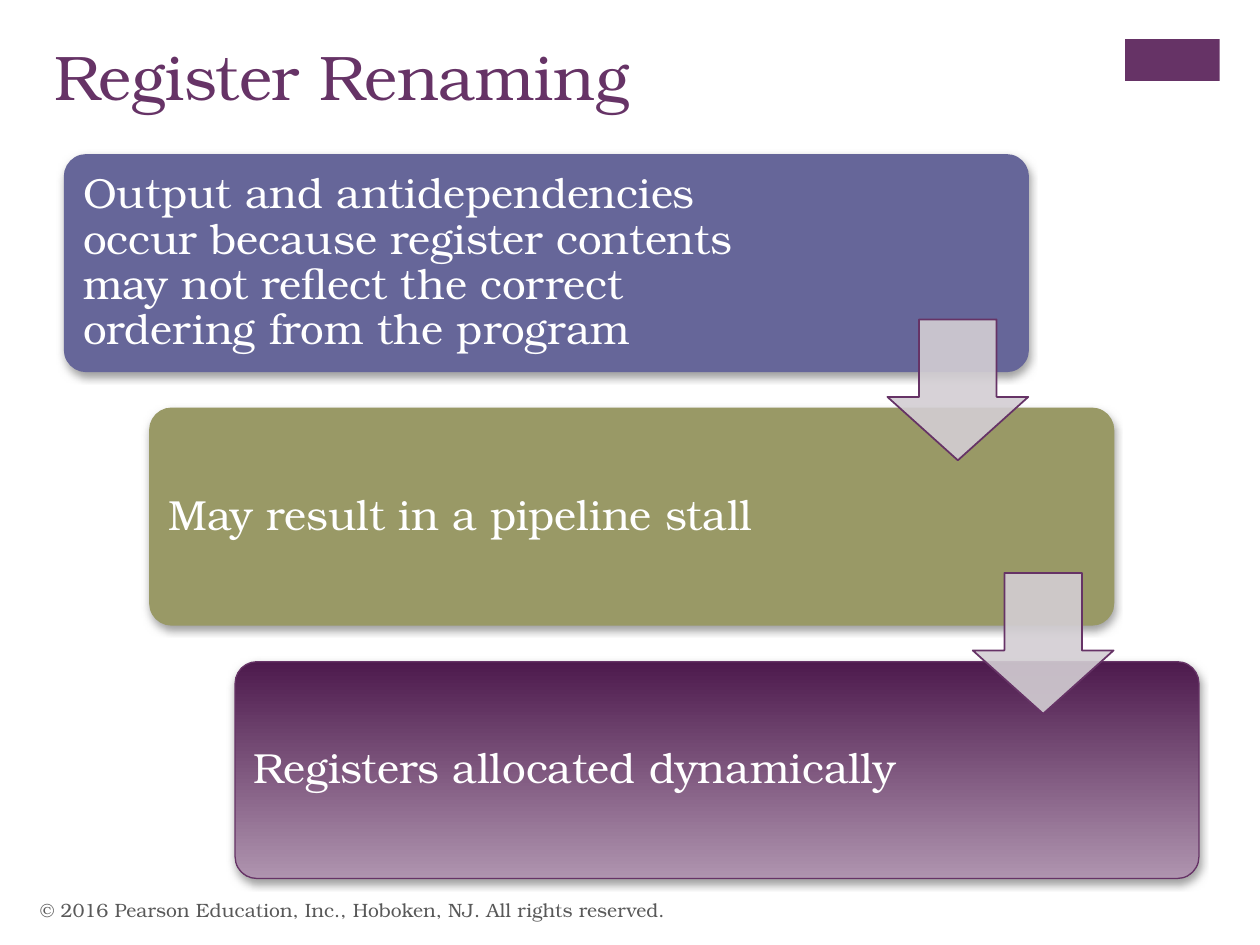
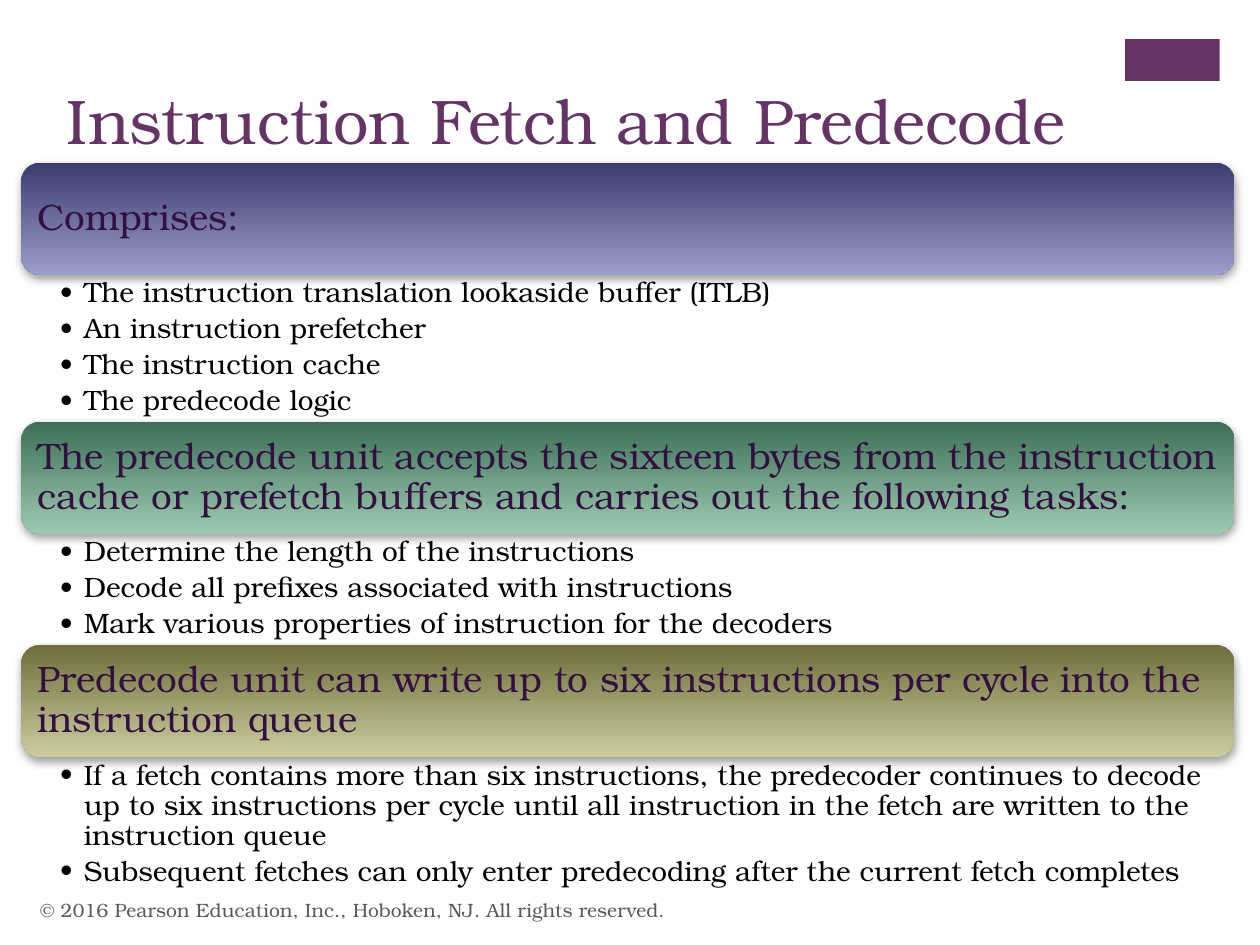
from dataclasses import dataclass

from lxml import etree
from pptx import Presentation
from pptx import util as u
from pptx.dml.color import RGBColor
from pptx.enum import shapes, text
from pptx.oxml.ns import qn

FONT = "TeX Gyre Bonum"
COLOURS = {
    "plum": "663366",
    "slate": "666699",
    "olive": "999966",
    "arrow": "D3CED3",
    "white": "FFFFFF",
    "black": "000000",
    "heading": "330F42",
    "footer": "595959",
    "shadow": "808080",
    "plum dark": "4D1A4D",
    "plum light": "AF94AF",
    "blue dark": "3C3C6F",
    "blue light": "9D9DCB",
    "green dark": "3C6F56",
    "green light": "9DCBB2",
    "moss dark": "6F6F3C",
    "moss light": "CBCB9D",
}
FOOTER = "© 2016 Pearson Education, Inc., Hoboken, NJ. All rights reserved."


@dataclass(frozen=True)
class Box:
    """A place on the slide, in centimetres."""
    left: float
    top: float
    width: float
    height: float

    def lengths(self) -> list:
        return [u.Cm(n) for n in (self.left, self.top, self.width, self.height)]


@dataclass(frozen=True)
class Style:
    size: int
    colour: str
    line_spacing: float = 1.0


@dataclass(frozen=True)
class Step:
    wording: str
    fill: tuple[str, ...]
    outline: str


@dataclass(frozen=True)
class Section:
    heading: str
    fill: tuple[str, ...]
    bullets: tuple[str, ...]
    bullets_height: float


TITLE = Style(36, "plum")
FOOTNOTE = Style(11, "footer")
STEP = Style(24, "white", 0.9)
HEADING = Style(21, "heading", 0.9)
BULLET = Style(16, "black", 0.9)

STEPS = (
    Step("Output and antidependencies occur because register contents "
         "may not reflect the correct ordering from the program",
         ("slate",), "slate"),
    Step("May result in a pipeline stall", ("olive",), "olive"),
    Step("Registers allocated dynamically", ("plum dark", "plum light"), "plum"),
)
SECTIONS = (
    Section("Comprises:", ("blue dark", "blue light"),
            ("The instruction translation lookaside buffer (ITLB)",
             "An instruction prefetcher",
             "The instruction cache",
             "The predecode logic"), 2.96),
    Section("The predecode unit accepts the sixteen bytes from the instruction "
            "cache or prefetch buffers and carries out the following tasks:",
            ("green dark", "green light"),
            ("Determine the length of the instructions",
             "Decode all prefixes associated with instructions",
             "Mark various properties of instruction for the decoders"), 2.24),
    Section("Predecode unit can write up to six instructions per cycle into the "
            "instruction queue", ("moss dark", "moss light"),
            ("If a fetch contains more than six instructions, the predecoder "
             "continues to decode up to six instructions per cycle until all "
             "instruction in the fetch are written to the instruction queue",
             "Subsequent fetches can only enter predecoding after the current "
             "fetch completes"), 2.72),
)


def rgb(name: str) -> RGBColor:
    return RGBColor.from_string(COLOURS[name])


def set_frame(frame, insets: tuple[float, ...], anchor) -> None:
    """Wrap the text; insets are left, top, right, bottom in centimetres."""
    frame.word_wrap = True
    frame.vertical_anchor = anchor
    (frame.margin_left, frame.margin_top,
     frame.margin_right, frame.margin_bottom) = [u.Cm(n) for n in insets]


def write(paragraph, wording: str, style: Style) -> None:
    paragraph.alignment = text.PP_ALIGN.LEFT
    paragraph.line_spacing = style.line_spacing
    run = paragraph.add_run()
    run.text = wording
    run.font.name = FONT
    run.font.size = u.Pt(style.size)
    run.font.color.rgb = rgb(style.colour)


def add_text(slide, box: Box, wording: str, style: Style,
             anchor=text.MSO_ANCHOR.TOP) -> None:
    frame = slide.shapes.add_textbox(*box.lengths()).text_frame
    set_frame(frame, (0.25, 0.13, 0.25, 0.13), anchor)
    write(frame.paragraphs[0], wording, style)


def add_bullets(slide, box: Box, wordings: tuple[str, ...]) -> None:
    frame = slide.shapes.add_textbox(*box.lengths()).text_frame
    set_frame(frame, (0.78, 0.08, 0.41, 0.08), text.MSO_ANCHOR.TOP)
    for number, wording in enumerate(wordings):
        paragraph = frame.add_paragraph() if number else frame.paragraphs[0]
        properties = paragraph._p.get_or_add_pPr()
        properties.set("marL", str(u.Cm(0.48)))
        properties.set("indent", str(-u.Cm(0.48)))
        etree.SubElement(properties, qn("a:buFont"), typeface=FONT)
        etree.SubElement(properties, qn("a:buChar"), char="•")
        paragraph.space_after = u.Pt(3.3)
        write(paragraph, wording, BULLET)


def set_alpha(colour_element, percent: int) -> None:
    etree.SubElement(colour_element, qn("a:alpha"), val=str(percent * 1000))


def add_filled(slide, kind, box: Box, fill: tuple[str, ...],
               outline: str | None = None, outline_width: float = 0.75):
    """Draw a preset shape; two fill colours make a top-to-bottom gradient."""
    shape = slide.shapes.add_shape(kind, *box.lengths())
    shape.shadow.inherit = False
    if len(fill) == 1:
        shape.fill.solid()
        shape.fill.fore_color.rgb = rgb(fill[0])
    else:
        shape.fill.gradient()
        shape.fill.gradient_angle = 270
        for stop, name in zip(shape.fill.gradient_stops, fill):
            stop.color.rgb = rgb(name)
    if outline:
        shape.line.color.rgb = rgb(outline)
        shape.line.width = u.Pt(outline_width)
    else:
        shape.line.fill.background()
    return shape


def drop_shadow(shape) -> None:
    effects = shape._element.spPr.find(qn("a:effectLst"))
    shadow = etree.SubElement(effects, qn("a:outerShdw"), blurRad=str(u.Pt(5)),
                              dist=str(u.Pt(2)), dir="5400000", rotWithShape="0")
    colour = etree.SubElement(shadow, qn("a:srgbClr"), val=COLOURS["shadow"])
    set_alpha(colour, 75)


def add_panel(slide, box: Box, fill: tuple[str, ...], outline: str | None,
              wording: str, style: Style, insets: tuple[float, ...]):
    """Draw a rounded, shadowed panel with its text."""
    panel = add_filled(slide, shapes.MSO_SHAPE.ROUNDED_RECTANGLE, box, fill, outline)
    drop_shadow(panel)
    set_frame(panel.text_frame, insets, text.MSO_ANCHOR.MIDDLE)
    write(panel.text_frame.paragraphs[0], wording, style)
    return panel


def start_slide(deck, title: str, title_box: Box):
    """Add a slide with the corner mark, title and footer."""
    slide = deck.slides.add_slide(deck.slide_layouts[6])
    add_filled(slide, shapes.MSO_SHAPE.RECTANGLE, Box(22.68, 0.79, 1.91, 0.84), ("plum",))
    add_text(slide, title_box, title, TITLE)
    add_text(slide, Box(0.56, 17.83, 17.02, 1.02), FOOTER, FOOTNOTE,
             text.MSO_ANCHOR.MIDDLE)
    return slide


def build_renaming(deck) -> None:
    slide = start_slide(deck, "Register Renaming", Box(0.84, 0.63, 20.98, 1.76))
    arrow_side = 2.84
    cards = [Box(1.3 + 1.72 * i, 3.12 + 5.11 * i, 19.43, 4.37)
             for i in range(len(STEPS))]
    for card, step in zip(cards, STEPS):
        panel = add_panel(slide, card, step.fill, step.outline, step.wording,
                          STEP, (0.25, 0.25, 4.75, 0.25))
        panel.adjustments[0] = 0.1
    for card in cards[:-1]:
        place = Box(card.left + card.width - arrow_side, card.top + 3.32,
                    arrow_side, arrow_side)
        arrow = add_filled(slide, shapes.MSO_SHAPE.DOWN_ARROW, place,
                           ("arrow",), "plum", 1)
        arrow.adjustments[0] = 0.55
        arrow.adjustments[1] = 0.45
        set_alpha(arrow._element.spPr.find(
            f"{qn('a:solidFill')}/{qn('a:srgbClr')}"), 90)


def build_predecode(deck) -> None:
    slide = start_slide(deck, "Instruction Fetch and Predecode",
                        Box(1.1, 1.52, 22.4, 1.76))
    left, width, band_height = 0.43, 24.46, 2.26
    top = 3.28
    for section in SECTIONS:
        add_panel(slide, Box(left, top, width, band_height), section.fill, None,
                  section.heading, HEADING, (0.22, 0.22, 0.22, 0.22))
        top += band_height
        add_bullets(slide, Box(left, top, width, section.bullets_height),
                    section.bullets)
        top += section.bullets_height


def main() -> None:
    deck = Presentation()
    deck.slide_width, deck.slide_height = u.Cm(25.4), u.Cm(19.05)
    build_renaming(deck)
    build_predecode(deck)
    deck.save("out.pptx")


if __name__ == "__main__":
    main()
